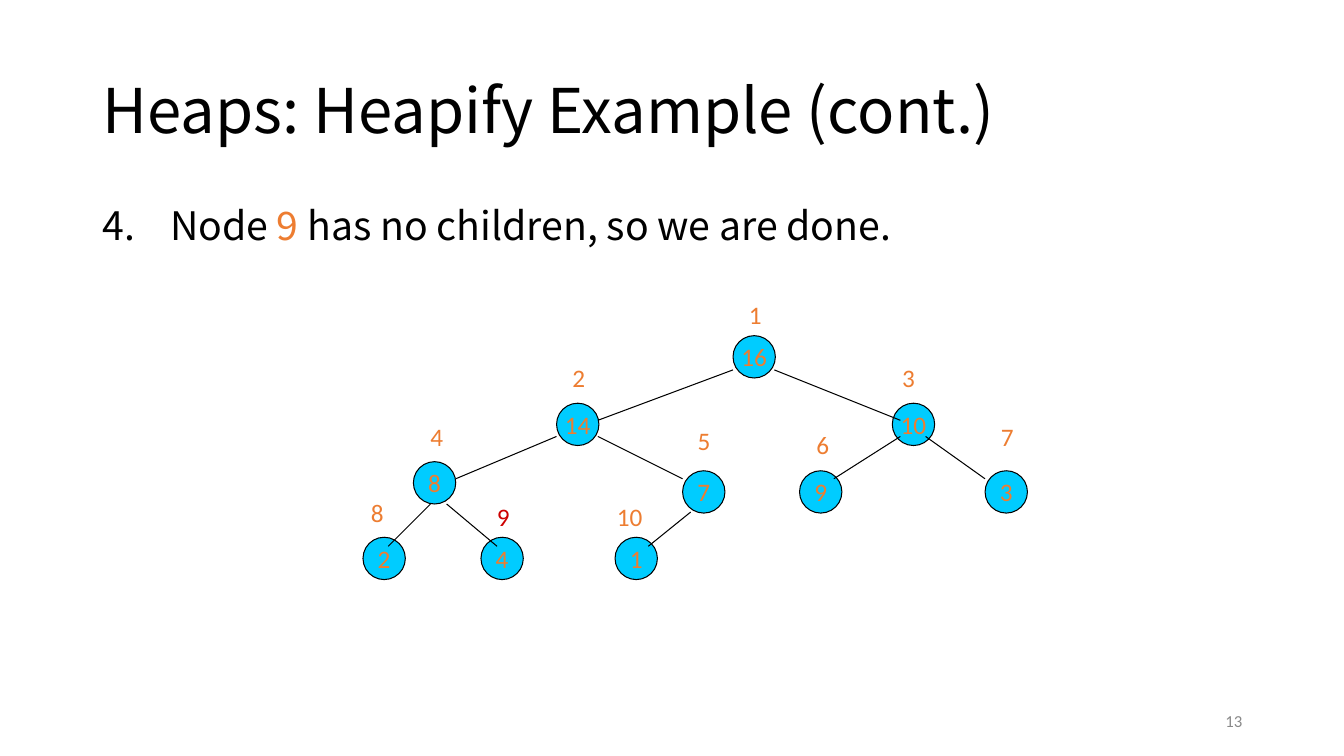
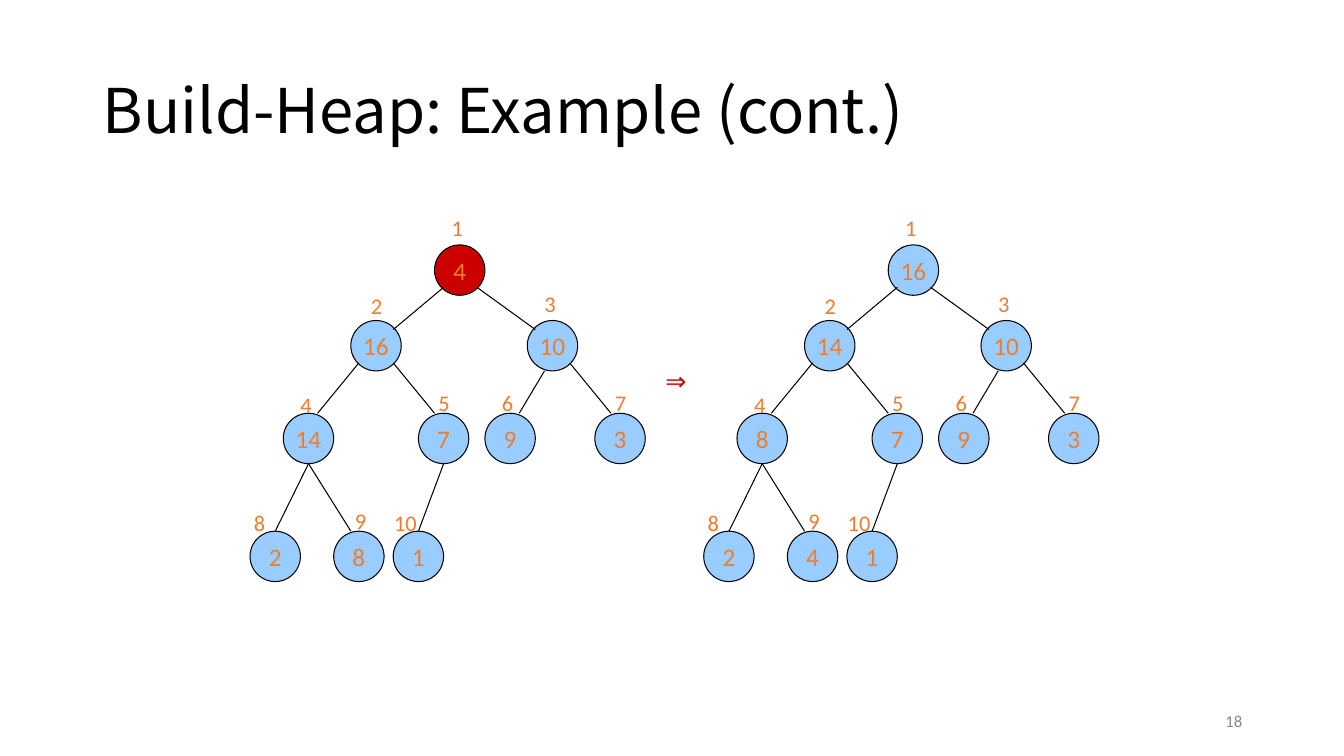
"""Builds two lecture slides showing heaps as binary trees."""
from dataclasses import dataclass

from lxml import etree
from pptx import Presentation, util as u
from pptx.dml.color import RGBColor
from pptx.enum import shapes, text
from pptx.oxml.ns import qn


@dataclass(frozen=True)
class Theme:
    """Colours, fonts and type sizes shared by the slides."""
    ink: str = "000000"
    accent: str = "ED7D31"
    alert: str = "CD0000"
    muted: str = "898989"
    cyan: str = "00CCFF"
    pale: str = "99CCFF"
    heading_font: str = "Noto Sans CJK SC"
    font: str = "Calibri"
    title_size: int = 44
    body_size: int = 28
    node_size: int = 18
    index_size: int = 16
    footer_size: int = 12
    line_width: float = 0.75


@dataclass(frozen=True)
class TreeLayout:
    """Places of nodes, index labels and edges, all in heap order."""
    diameter: float
    fill: str
    label_size: int
    label_widths: tuple
    label_height: float
    nodes: tuple
    labels: tuple
    edges: tuple


class SlideBuilder:
    """Holds the theme and the current slide, and adds elements to it."""

    def __init__(self, theme):
        """Start an empty widescreen deck."""
        self.theme = theme
        self.deck = Presentation()
        self.deck.slide_width = u.Inches(13.33)
        self.deck.slide_height = u.Inches(7.5)
        self.page = None

    def style(self, para, size, color, font=None):
        """Set the font of a whole paragraph."""
        para.font.size = u.Pt(size)
        para.font.name = font or self.theme.font
        para.font.color.rgb = RGBColor.from_string(color)

    def start_page(self, title, number):
        """Add a slide with its title and page number."""
        self.page = self.deck.slides.add_slide(self.deck.slide_layouts[5])
        box = self.page.shapes.title
        box.left, box.top, box.width, box.height = map(u.Inches, (0.92, 0.4, 11.5, 1.45))
        frame = box.text_frame
        frame.text = title
        frame.auto_size = text.MSO_AUTO_SIZE.NONE
        frame.vertical_anchor = text.MSO_ANCHOR.MIDDLE
        para = frame.paragraphs[0]
        para.alignment = text.PP_ALIGN.LEFT
        para.line_spacing = 0.9
        self.style(para, self.theme.title_size, self.theme.ink, self.theme.heading_font)
        self.page_number(number)

    def text_box(self, left, top, width, height):
        """Add a wrapping text box and return its frame."""
        box = self.page.shapes.add_textbox(*map(u.Inches, (left, top, width, height)))
        box.text_frame.word_wrap = True
        return box.text_frame

    def page_number(self, number):
        """Put the page number at the lower right."""
        frame = self.text_box(9.42, 6.95, 3, 0.4)
        frame.text = str(number)
        frame.vertical_anchor = text.MSO_ANCHOR.MIDDLE
        para = frame.paragraphs[0]
        para.alignment = text.PP_ALIGN.RIGHT
        self.style(para, self.theme.footer_size, self.theme.muted)

    def numbered_step(self, start, pieces):
        """Add a numbered body line made of (words, colour) pieces."""
        para = self.text_box(0.92, 2, 11.5, 4.76).paragraphs[0]
        para.line_spacing = 0.9
        para.space_before = u.Pt(10)
        self.style(para, self.theme.body_size, self.theme.ink, self.theme.heading_font)
        properties = para._p.get_or_add_pPr()
        indent = u.Inches(0.67)
        properties.set("marL", str(indent))
        properties.set("indent", str(-indent))
        bullet = etree.Element(qn("a:buAutoNum"), type="arabicPeriod", startAt=str(start))
        properties.find(qn("a:defRPr")).addprevious(bullet)
        for words, color in pieces:
            span = para.add_run()
            span.text = words
            span.font.color.rgb = RGBColor.from_string(color)

    def label(self, words, left, top, width, height, size, color):
        """Add a short text that does not wrap."""
        frame = self.text_box(left, top, width, height)
        frame.word_wrap = False
        frame.auto_size = text.MSO_AUTO_SIZE.SHAPE_TO_FIT_TEXT
        frame.text = words
        self.style(frame.paragraphs[0], size, color)

    def node(self, value, left, top, diameter, fill):
        """Add a circle holding a heap value."""
        circle = self.page.shapes.add_shape(
            shapes.MSO_SHAPE.OVAL, *map(u.Inches, (left, top, diameter, diameter)))
        circle.shadow.inherit = False
        circle.fill.solid()
        circle.fill.fore_color.rgb = RGBColor.from_string(fill)
        self.outline(circle)
        frame = circle.text_frame
        frame.word_wrap = False
        frame.vertical_anchor = text.MSO_ANCHOR.MIDDLE
        frame.text = str(value)
        para = frame.paragraphs[0]
        para.alignment = text.PP_ALIGN.CENTER
        self.style(para, self.theme.node_size, self.theme.accent)

    def outline(self, shape):
        """Give a shape or connector the thin dark line."""
        shape.line.color.rgb = RGBColor.from_string(self.theme.ink)
        shape.line.width = u.Pt(self.theme.line_width)

    def edge(self, x1, y1, x2, y2):
        """Add a straight line from parent to child."""
        line = self.page.shapes.add_connector(
            shapes.MSO_CONNECTOR.STRAIGHT, *map(u.Inches, (x1, y1, x2, y2)))
        self.outline(line)
        etree.SubElement(line._element.spPr, qn("a:effectLst"))

    def tree(self, layout, values, shift=0, alert_node=None, alert_label=None):
        """Draw a heap, marking a node or an index label if asked."""
        theme = self.theme
        for index, (value, (left, top)) in enumerate(zip(values, layout.nodes), 1):
            fill = theme.alert if index == alert_node else layout.fill
            self.node(value, left + shift, top, layout.diameter, fill)
        for x1, y1, x2, y2 in layout.edges:
            self.edge(x1 + shift, y1, x2 + shift, y2)
        for index, (left, top) in enumerate(layout.labels, 1):
            words = str(index)
            color = theme.alert if index == alert_label else theme.accent
            self.label(words, left + shift, top, layout.label_widths[len(words) - 1],
                       layout.label_height, layout.label_size, color)


THEME = Theme()

WIDE_TREE = TreeLayout(
    diameter=0.42, fill=THEME.cyan, label_size=THEME.node_size,
    label_widths=(0.33, 0.46), label_height=0.4,
    nodes=((7.27, 3.33), (5.52, 4), (8.85, 4), (4.1, 4.58), (6.77, 4.67),
           (7.93, 4.67), (9.77, 4.67), (3.6, 5.33), (4.77, 5.33), (6.1, 5.33)),
    labels=((7.33, 2.92), (5.58, 3.55), (8.85, 3.55), (4.17, 4.13), (6.82, 4.17),
            (8, 4.21), (9.83, 4.13), (3.58, 4.88), (4.83, 4.92), (6.02, 4.92)),
    edges=((7.27, 3.67, 5.93, 4.17), (7.68, 3.67, 8.93, 4.17), (5.52, 4.33, 4.52, 4.75),
           (5.93, 4.33, 6.77, 4.75), (8.93, 4.33, 8.27, 4.75), (9.18, 4.33, 9.77, 4.75),
           (4.27, 5, 3.85, 5.42), (4.43, 5, 4.93, 5.42), (6.85, 5.08, 6.43, 5.42)))

COMPACT_TREE = TreeLayout(
    diameter=0.5, fill=THEME.pale, label_size=THEME.index_size,
    label_widths=(0.32, 0.43), label_height=0.37,
    nodes=((4.31, 2.43), (3.48, 3.18), (5.23, 3.18), (2.81, 4.1), (4.15, 4.1),
           (4.81, 4.1), (5.9, 4.1), (2.48, 5.27), (3.31, 5.27), (3.9, 5.27)),
    labels=((4.38, 2.08), (3.58, 2.85), (5.3, 2.83), (2.88, 3.83), (4.25, 3.81),
            (4.88, 3.81), (6, 3.81), (2.42, 5), (3.42, 4.98), (3.81, 5)),
    edges=((4.4, 2.85, 3.9, 3.27), (4.73, 2.85, 5.31, 3.27), (3.56, 3.6, 3.15, 4.1),
           (3.9, 3.6, 4.31, 4.1), (5.4, 3.68, 5.15, 4.1), (5.65, 3.6, 6.06, 4.1),
           (3.06, 4.6, 2.73, 5.27), (3.06, 4.6, 3.48, 5.27), (4.4, 4.6, 4.15, 5.27)))

HEAP = (16, 14, 10, 8, 7, 9, 3, 2, 4, 1)
UNSETTLED = (4, 16, 10, 14, 7, 9, 3, 2, 8, 1)

builder = SlideBuilder(THEME)

builder.start_page("Heaps: Heapify Example (cont.)", 13)
builder.numbered_step(4, (("Node ", THEME.ink), ("9", THEME.accent),
                          (" has no children, so we are done.", THEME.ink)))
builder.tree(WIDE_TREE, HEAP, alert_label=9)

builder.start_page("Build-Heap: Example (cont.)", 18)
builder.tree(COMPACT_TREE, UNSETTLED, alert_node=1)
builder.tree(COMPACT_TREE, HEAP, shift=4.5)
builder.label("⇒", 6.5, 3.58, 0.45, 0.4, THEME.node_size, THEME.alert)

builder.deck.save("out.pptx")
